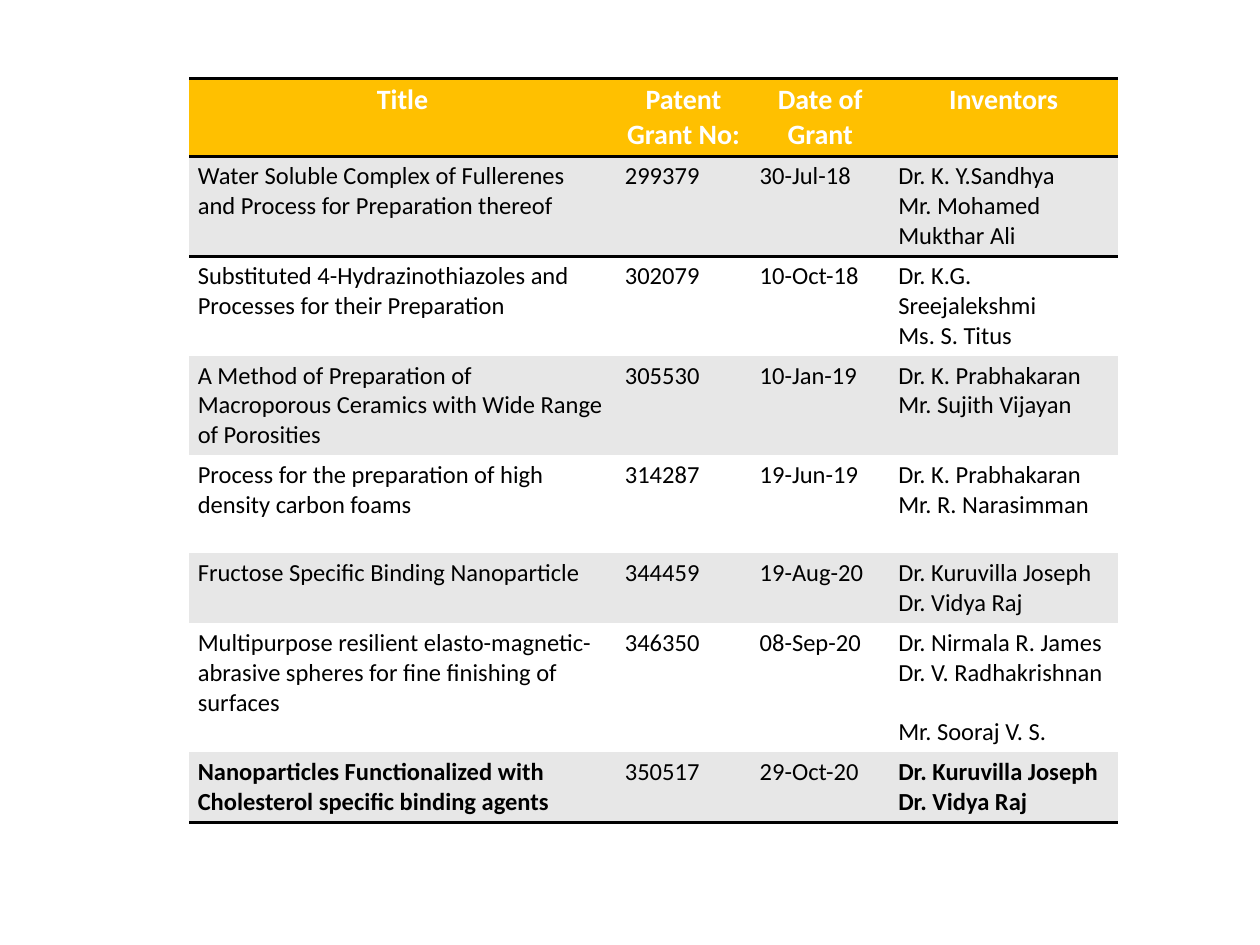
from dataclasses import dataclass

from lxml.etree import SubElement
from pptx import Presentation
from pptx.dml.color import RGBColor as Color
from pptx.enum.text import PP_ALIGN as Align
from pptx.oxml.ns import qn
from pptx.util import Inches, Pt

HEADERS = ["Title", "Patent Grant No:", "Date of Grant", "Inventors"]
PATENTS = [
    ("Water Soluble Complex of Fullerenes and Process for Preparation thereof",
     "299379", "30-Jul-18", "Dr. K. Y.Sandhya\nMr. Mohamed Mukthar Ali"),
    ("Substituted 4-Hydrazinothiazoles and Processes for their Preparation",
     "302079", "10-Oct-18", "Dr. K.G. Sreejalekshmi\nMs. S. Titus"),
    ("A Method of Preparation of Macroporous Ceramics with Wide Range of Porosities",
     "305530", "10-Jan-19", "Dr. K. Prabhakaran\nMr. Sujith Vijayan"),
    ("Process for the preparation of high density carbon foams",
     "314287", "19-Jun-19", "Dr. K. Prabhakaran\nMr. R. Narasimman"),
    ("Fructose Specific Binding Nanoparticle",
     "344459", "19-Aug-20", "Dr. Kuruvilla Joseph\nDr. Vidya Raj"),
    ("Multipurpose resilient elasto-magnetic-abrasive spheres for fine finishing of surfaces",
     "346350", "08-Sep-20", "Dr. Nirmala R. James\nDr. V. Radhakrishnan\nMr. Sooraj V. S."),
    ("Nanoparticles Functionalized with Cholesterol specific binding agents",
     "350517", "29-Oct-20", "Dr. Kuruvilla Joseph\nDr. Vidya Raj"),
]
ROWS = [HEADERS, *PATENTS]
COLUMN_WIDTHS = [3.39, 1.07, 1.1, 1.81]
ROW_HEIGHTS = [0.62, 0.78, 0.78, 0.78, 0.78, 0.55, 1.02, 0.55]
LAST_ROW = len(ROWS) - 1
BOLD_CELLS = {(LAST_ROW, 0), (LAST_ROW, 3)}
NO_STYLE_NO_GRID = "{2D5ABB26-0587-4C30-8999-92F81FD0307C}"


@dataclass(frozen=True)
class Theme:
    font: str = "Calibri"
    header_size: int = 16
    body_size: int = 14
    header_text: str = "FFFFFF"
    body_text: str = "000000"
    header_fill: str = "FFC000"
    bands: tuple = ("FFFFFF", "E7E7E7")
    rule: str = "000000"
    rule_width: int = 2


THEME = Theme()


def add_rules(cell, sides):
    properties = cell._tc.get_or_add_tcPr()
    for position, side in enumerate(sides):
        line = SubElement(properties, qn(f"a:ln{side}"), w=str(Pt(THEME.rule_width)))
        fill = SubElement(line, qn("a:solidFill"))
        SubElement(fill, qn("a:srgbClr"), val=THEME.rule)
        properties.insert(position, line)


def fill_cell(cell, text, row, column):
    header = row == 0
    cell.margin_left = cell.margin_right = Inches(0.07)
    cell.margin_top = cell.margin_bottom = Inches(0.04)
    cell.fill.solid()
    cell.fill.fore_color.rgb = Color.from_string(
        THEME.header_fill if header else THEME.bands[row % 2])
    cell.text_frame.text = text
    for paragraph in cell.text_frame.paragraphs:
        paragraph.alignment = Align.CENTER if header else Align.LEFT
        for run in paragraph.runs:
            font = run.font
            font.name = THEME.font
            font.size = Pt(THEME.header_size if header else THEME.body_size)
            font.bold = header or (row, column) in BOLD_CELLS
            font.color.rgb = Color.from_string(
                THEME.header_text if header else THEME.body_text)
    if len(cell.text_frame.paragraphs) == 3:
        cell.text_frame.paragraphs[2].space_before = Pt(17)
    if header:
        add_rules(cell, "TB")
    elif row == 1:
        add_rules(cell, "T")
    elif row == LAST_ROW:
        add_rules(cell, "B")


presentation = Presentation()
presentation.slide_width, presentation.slide_height = Inches(10), Inches(7.5)
slide = presentation.slides.add_slide(presentation.slide_layouts[6])

table = slide.shapes.add_table(
    len(ROWS), len(HEADERS), Inches(1.5), Inches(0.62),
    Inches(sum(COLUMN_WIDTHS)), Inches(sum(ROW_HEIGHTS))).table
table._tbl.tblPr.find(qn("a:tableStyleId")).text = NO_STYLE_NO_GRID
table.horz_banding = False
for column, width in zip(table.columns, COLUMN_WIDTHS):
    column.width = Inches(width)
for row, height in zip(table.rows, ROW_HEIGHTS):
    row.height = Inches(height)
for row_index, values in enumerate(ROWS):
    for column_index, value in enumerate(values):
        fill_cell(table.cell(row_index, column_index), value, row_index, column_index)

presentation.save("out.pptx")
